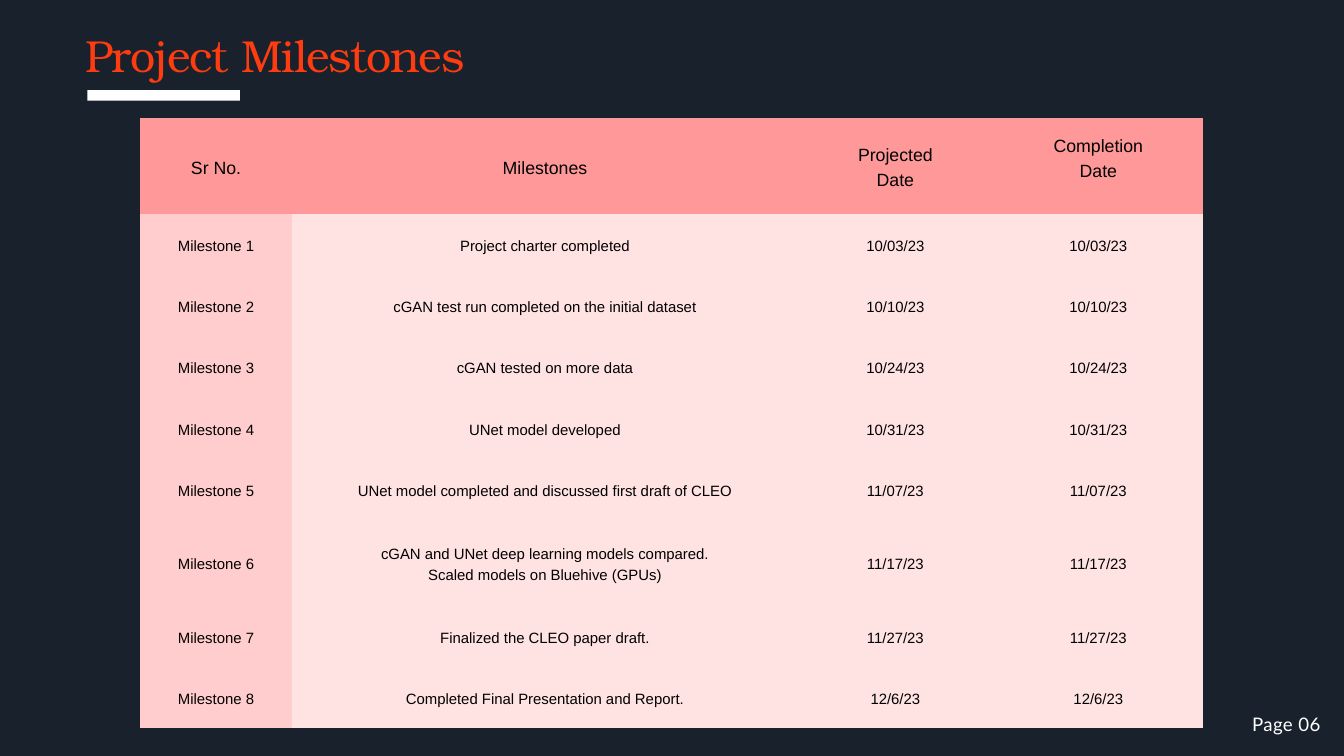
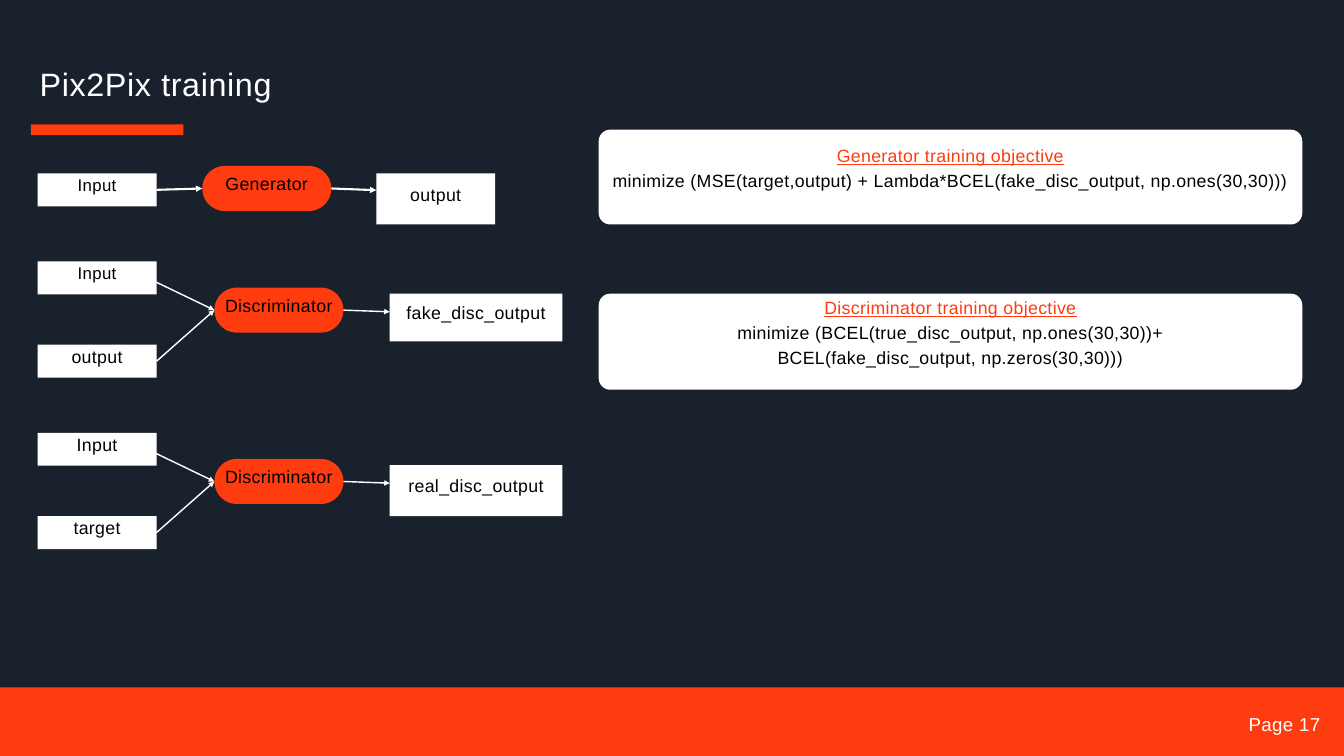
import pptx
import pptx.dml.color
import pptx.enum.shapes
import pptx.enum.text
import pptx.oxml
import pptx.oxml.ns
import pptx.util

SLIDE_WIDTH, SLIDE_HEIGHT = 20, 11.25
COLORS = {
    "background": "19222C", "accent": "FF3B10", "white": "FFFFFF", "black": "000000",
    "header": "FF9999", "first_column": "FFCDCD", "body": "FFE3E3",
}
SHAPES = pptx.enum.shapes.MSO_SHAPE
ALIGN = pptx.enum.text.PP_ALIGN
ANCHOR = pptx.enum.text.MSO_ANCHOR
DRAWING = pptx.oxml.ns.nsdecls("a")

MILESTONE_HEADER = ["Sr No.", "Milestones", "Projected\nDate", "Completion\nDate"]
MILESTONES = [  # every milestone was completed on its projected date
    ("Project charter completed", "10/03/23"),
    ("cGAN test run completed on the initial dataset", "10/10/23"),
    ("cGAN tested on more data", "10/24/23"),
    ("UNet model developed", "10/31/23"),
    ("UNet model completed and discussed first draft of CLEO", "11/07/23"),
    ("cGAN and UNet deep learning models compared.\nScaled models on Bluehive (GPUs)", "11/17/23"),
    ("Finalized the CLEO paper draft.", "11/27/23"),
    ("Completed Final Presentation and Report.", "12/6/23"),
]
COLUMN_WIDTHS = [2.27, 7.52, 2.91, 3.13]
HEADER_HEIGHT, ROW_HEIGHT, TWO_LINE_HEIGHT = 1.43, 0.91, 1.28

# top of the flow, (upper input, its size), lower input, result, result height
DISCRIMINATOR_FLOWS = [
    (3.89, ("Input", 18), "output", "fake_disc_output", 0.71),
    (6.44, ("Input", 19), "target", "real_disc_output", 0.76),
]
OBJECTIVES = [  # top, height, title, formula
    (1.93, 1.41, "Generator training objective",
     "minimize (MSE(target,output) + Lambda*BCEL(fake_disc_output, np.ones(30,30)))"),
    (4.37, 1.43, "Discriminator training objective",
     "minimize (BCEL(true_disc_output, np.ones(30,30))+\nBCEL(fake_disc_output, np.zeros(30,30)))"),
]
INPUT_LEFT, INPUT_WIDTH, INPUT_HEIGHT = 0.56, 1.77, 0.49
PILL_WIDTH, PILL_HEIGHT = 1.92, 0.67
NODE_LIFT, OBJECTIVE_LIFT = 0.2, 0.32


def inches(*lengths):
    return [pptx.util.Inches(length) for length in lengths]


def rgb(name):
    return pptx.dml.color.RGBColor.from_string(COLORS[name])


def set_insets(frame, left, top, right, bottom):
    frame.margin_left, frame.margin_top, frame.margin_right, frame.margin_bottom = inches(
        left, top, right, bottom)


def write_text(frame, text, size=19, color="black", font="Arial", align=ALIGN.CENTER,
               leading=1.4, tracking=0.4, heading=False):
    """Fill the frame, one paragraph a line; heading underlines the first in the accent colour."""
    for index, line in enumerate(text.split("\n")):
        paragraph = frame.paragraphs[0] if index == 0 else frame.add_paragraph()
        paragraph.alignment = align
        paragraph.line_spacing = pptx.util.Pt(round(size * leading, 1))
        run = paragraph.add_run()
        run.text = line
        run.font.size = pptx.util.Pt(size)
        run.font.name = font
        is_heading = heading and index == 0
        run.font.color.rgb = rgb("accent" if is_heading else color)
        if is_heading:
            run.font.underline = True
        if tracking:
            run.font._element.set("spc", str(round(tracking * 100)))


def add_label(slide, box, text, **text_format):
    frame = slide.shapes.add_textbox(*inches(*box)).text_frame
    frame.word_wrap = True
    set_insets(frame, 0, 0, 0, 0)
    write_text(frame, text, **text_format)


def add_block(slide, kind, box, color, text="", lift=0, **text_format):
    """Add a filled shape whose text is centred above its lowest part, lift high."""
    shape = slide.shapes.add_shape(kind, *inches(*box))
    shape.shadow.inherit = False
    shape.fill.solid()
    shape.fill.fore_color.rgb = rgb(color)
    shape.line.fill.background()
    if text:
        frame = shape.text_frame
        frame.word_wrap = False
        frame.vertical_anchor = ANCHOR.MIDDLE
        set_insets(frame, 0, 0, 0, lift)
        write_text(frame, text, **text_format)
    return shape


def add_node(slide, box, text, **text_format):
    return add_block(slide, SHAPES.RECTANGLE, box, "white", text, NODE_LIFT, **text_format)


def add_pill(slide, left, top, text):
    pill = add_block(slide, SHAPES.ROUNDED_RECTANGLE, (left, top, PILL_WIDTH, PILL_HEIGHT),
                     "accent", text, NODE_LIFT)
    pill.adjustments[0] = 0.5
    return pill


def add_arrow(slide, start, end, width=1.5):
    """Draw an arrow; each end is a point or a shape (right side at start, left side at end)."""
    points = [end_point if isinstance(end_point, tuple) else (0, 0) for end_point in (start, end)]
    arrow = slide.shapes.add_connector(
        pptx.enum.shapes.MSO_CONNECTOR.STRAIGHT, *inches(*points[0], *points[1]))
    if not isinstance(start, tuple):
        arrow.begin_connect(start, 3)
    if not isinstance(end, tuple):
        arrow.end_connect(end, 1)
    arrow.line.color.rgb = rgb("white")
    arrow.line.width = pptx.util.Pt(width)
    arrow.line._get_or_add_ln().append(
        pptx.oxml.parse_xml(f'<a:tailEnd {DRAWING} type="triangle"/>'))
    arrow._element.spPr.append(pptx.oxml.parse_xml(f"<a:effectLst {DRAWING}/>"))


def add_slide(presentation, page, page_font):
    slide = presentation.slides.add_slide(presentation.slide_layouts[6])
    slide.background.fill.solid()
    slide.background.fill.fore_color.rgb = rgb("background")
    if page == "17":
        add_block(slide, SHAPES.RECTANGLE, (0, 10.23, SLIDE_WIDTH, SLIDE_HEIGHT - 10.23), "accent")
    add_label(slide, (15.09, 10.55, 4.56, 0.42), f"Page {page}", size=20, color="white",
              font=page_font, align=ALIGN.RIGHT)
    return slide


def add_title_bar(slide, left, top, color):
    add_block(slide, SHAPES.RECTANGLE, (left, top, 2.27, 0.16), color)


def format_cell(cell, text, fill, size):
    properties = cell._tc.get_or_add_tcPr()
    for side in ("lnL", "lnR", "lnT", "lnB"):
        properties.append(pptx.oxml.parse_xml(
            f'<a:{side} {DRAWING} w="0"><a:solidFill>'
            f'<a:srgbClr val="{COLORS["header"]}"/></a:solidFill></a:{side}>'))
    cell.fill.solid()
    cell.fill.fore_color.rgb = rgb(fill)
    cell.vertical_anchor = ANCHOR.MIDDLE
    set_insets(cell, 0.21, 0.21, 0.21, 0.21)
    write_text(cell.text_frame, text, size=size, tracking=0)


def add_milestone_table(slide):
    rows = [MILESTONE_HEADER] + [
        (f"Milestone {number}", task, date, date)
        for number, (task, date) in enumerate(MILESTONES, 1)]
    heights = [HEADER_HEIGHT] + [
        TWO_LINE_HEIGHT if "\n" in task else ROW_HEIGHT for task, _ in MILESTONES]
    table = slide.shapes.add_table(
        len(rows), len(COLUMN_WIDTHS),
        *inches(2.08, 1.75, sum(COLUMN_WIDTHS), sum(heights))).table
    for column, width in zip(table.columns, COLUMN_WIDTHS):
        column.width = pptx.util.Inches(width)
    for row_index, (row, height) in enumerate(zip(rows, heights)):
        table.rows[row_index].height = pptx.util.Inches(height)
        for column_index, text in enumerate(row):
            fill = ("header" if row_index == 0
                    else "first_column" if column_index == 0 else "body")
            format_cell(table.cell(row_index, column_index), text, fill,
                        19 if row_index == 0 else 16)
    table.cell(0, 3).vertical_anchor = ANCHOR.TOP


def build_milestones(presentation):
    slide = add_slide(presentation, "06", "Lato")
    add_label(slide, (0.5, 0.41, 7.18, 0.93), "Project Milestones", size=48, color="accent",
              font="TeX Gyre Bonum", leading=1.2, tracking=-1)
    add_milestone_table(slide)
    add_title_bar(slide, 1.3, 1.34, "white")


def add_generator_flow(slide, top):
    source = add_node(slide, (INPUT_LEFT, top, INPUT_WIDTH, INPUT_HEIGHT), "Input", size=18)
    generator = add_pill(slide, 3.01, top - 0.11, "Generator")
    add_node(slide, (5.6, top, INPUT_WIDTH, 0.76), "output")
    add_arrow(slide, source, generator, width=2.25)
    add_arrow(slide, generator, (5.6, top + 0.25), width=2.25)


def add_discriminator_flow(slide, top, upper, lower, result, result_height):
    upper_text, upper_size = upper
    add_node(slide, (INPUT_LEFT, top, INPUT_WIDTH, INPUT_HEIGHT), upper_text, size=upper_size)
    lower_node = add_node(slide, (INPUT_LEFT, top + 1.24, INPUT_WIDTH, INPUT_HEIGHT), lower)
    discriminator = add_pill(slide, 3.19, top + 0.39, "Discriminator")
    add_node(slide, (5.8, top + 0.48, 2.57, result_height), result)
    add_arrow(slide, (2.14, top + 0.22), discriminator)
    add_arrow(slide, lower_node, discriminator)
    add_arrow(slide, discriminator, (5.8, top + 0.75))


def build_training(presentation):
    slide = add_slide(presentation, "17", "Arial")
    add_title_bar(slide, 0.46, 1.85, "accent")
    add_label(slide, (0.59, 0.86, 8, 0.72), "Pix2Pix training", size=34.6, color="white",
              align=ALIGN.LEFT, tracking=0.7)
    add_generator_flow(slide, 2.58)
    for flow in DISCRIMINATOR_FLOWS:
        add_discriminator_flow(slide, *flow)
    for top, height, title, formula in OBJECTIVES:
        panel = add_block(slide, SHAPES.ROUNDED_RECTANGLE, (8.91, top, 10.47, height), "white",
                          f"{title}\n{formula}", OBJECTIVE_LIFT, heading=True)
        panel.adjustments[0] = 0.12


def main():
    presentation = pptx.Presentation()
    presentation.slide_width, presentation.slide_height = inches(SLIDE_WIDTH, SLIDE_HEIGHT)
    build_milestones(presentation)
    build_training(presentation)
    presentation.save("out.pptx")


if __name__ == "__main__":
    main()
